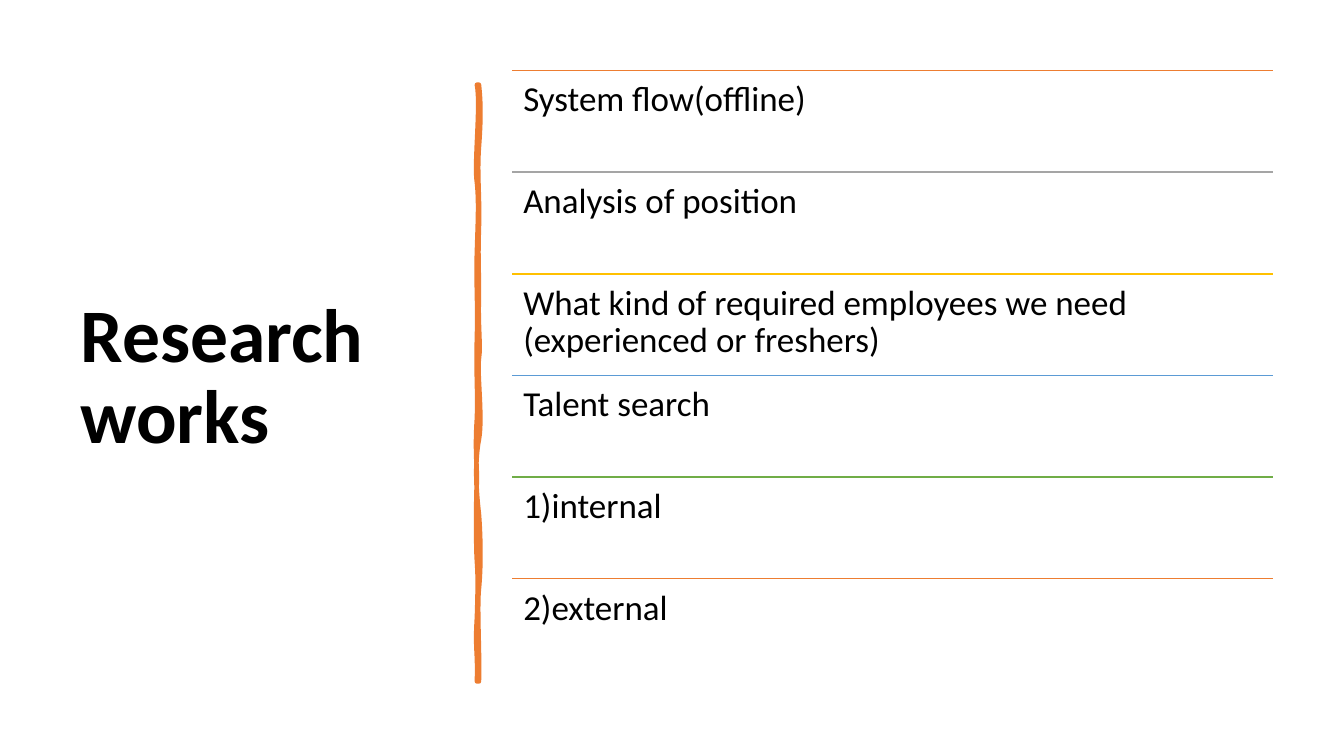
from lxml.etree import SubElement
from pptx import Presentation
from pptx.dml.color import RGBColor
from pptx.enum.shapes import MSO_CONNECTOR as Connector
from pptx.enum.text import MSO_ANCHOR as Anchor
from pptx.oxml.ns import qn
from pptx.util import Inches, Pt

TITLE = "Research works"
ROWS = [
    ("System flow(offline)", "ED7D31"),
    ("Analysis of position", "A5A5A5"),
    ("What kind of required employees we need (experienced or freshers)", "FFC000"),
    ("Talent search", "5B9BD5"),
    ("1)internal", "70AD47"),
    ("2)external", "ED7D31"),
]
FONT, BLACK, ORANGE = "Calibri", "000000", "ED7D31"
LIST_LEFT, LIST_TOP, LIST_WIDTH, LIST_HEIGHT = 5.08, 0.7, 7.55, 6.05
ROW_HEIGHT = LIST_HEIGHT / len(ROWS)

STROKE_START = (4.75, 0.84)
STROKE_CURVES = [
    ((4.77, 1.02), (4.77, 1.19), (4.75, 1.46)),
    ((4.73, 1.73), (4.76, 1.95), (4.75, 2.26)),
    ((4.74, 2.57), (4.75, 2.62), (4.75, 2.94)),
    ((4.74, 3.25), (4.77, 3.42), (4.75, 3.56)),
    ((4.73, 3.7), (4.79, 4.14), (4.75, 4.36)),
    ((4.71, 4.57), (4.72, 4.84), (4.75, 5.1)),
    ((4.77, 5.36), (4.77, 5.64), (4.75, 5.84)),
    ((4.73, 6.03), (4.76, 6.5), (4.75, 6.76)),
    ((4.74, 6.76), (4.73, 6.76), (4.73, 6.76)),
    ((4.74, 6.46), (4.71, 6.44), (4.73, 6.13)),
    ((4.74, 5.83), (4.74, 5.7), (4.73, 5.57)),
    ((4.72, 5.44), (4.72, 4.95), (4.73, 4.77)),
    ((4.73, 4.59), (4.71, 4.45), (4.73, 4.15)),
    ((4.74, 3.86), (4.72, 3.73), (4.73, 3.35)),
    ((4.74, 2.98), (4.72, 2.81), (4.73, 2.5)),
    ((4.74, 2.18), (4.75, 2), (4.73, 1.81)),
    ((4.7, 1.63), (4.77, 1.04), (4.73, 0.84)),
]


def color(value):
    return RGBColor.from_string(value)


def add_text(slide, text, left, top, width, height, size, bold=False,
             anchor=Anchor.TOP, inset=0.11):
    box = slide.shapes.add_textbox(*map(Inches, (left, top, width, height)))
    frame = box.text_frame
    frame.word_wrap = True
    frame.vertical_anchor = anchor
    frame.margin_left = frame.margin_right = Inches(0.11)
    frame.margin_top = frame.margin_bottom = Inches(inset)
    paragraph = frame.paragraphs[0]
    paragraph.line_spacing = 0.9
    run = paragraph.add_run()
    run.text = text
    run.font.name = FONT
    run.font.size = Pt(size)
    run.font.bold = bold
    run.font.color.rgb = color(BLACK)


def bend_segments(shape, size):
    segments = list(shape._element.iter(qn("a:lnTo")))
    for first in range(0, len(segments), size):
        curve, *rest = segments[first:first + size]
        curve.tag = qn("a:cubicBezTo")
        for segment in rest:
            curve.append(segment[0])
            segment.getparent().remove(segment)


def add_stroke(slide):
    points = [tuple(map(Inches, point)) for curve in STROKE_CURVES for point in curve]
    builder = slide.shapes.build_freeform(*map(Inches, STROKE_START))
    builder.add_line_segments(points, close=True)
    stroke = builder.convert_to_shape()
    bend_segments(stroke, 3)
    stroke.shadow.inherit = False
    stroke.fill.solid()
    stroke.fill.fore_color.rgb = color(ORANGE)
    stroke.line.color.rgb = color(ORANGE)
    stroke.line.width = Pt(3.25)
    SubElement(stroke.line._get_or_add_ln(), qn("a:round"))


def add_rule(slide, top, line_color):
    rule = slide.shapes.add_connector(
        Connector.STRAIGHT,
        *map(Inches, (LIST_LEFT, top, LIST_LEFT + LIST_WIDTH, top)),
    )
    rule.line.color.rgb = color(line_color)
    rule.line.width = Pt(1)
    SubElement(rule._element.spPr, qn("a:effectLst"))


def main():
    presentation = Presentation()
    presentation.slide_width = Inches(13.33)
    presentation.slide_height = Inches(7.5)
    slide = presentation.slides.add_slide(presentation.slide_layouts[6])
    add_text(slide, TITLE, 0.69, 0.7, 3.74, 6.11, 54, True, Anchor.MIDDLE, 0.05)
    add_stroke(slide)
    for index, (text, line_color) in enumerate(ROWS):
        top = LIST_TOP + index * ROW_HEIGHT
        add_rule(slide, top, line_color)
        add_text(slide, text, LIST_LEFT, top, LIST_WIDTH, ROW_HEIGHT, 25)
    presentation.save("out.pptx")


if __name__ == "__main__":
    main()
